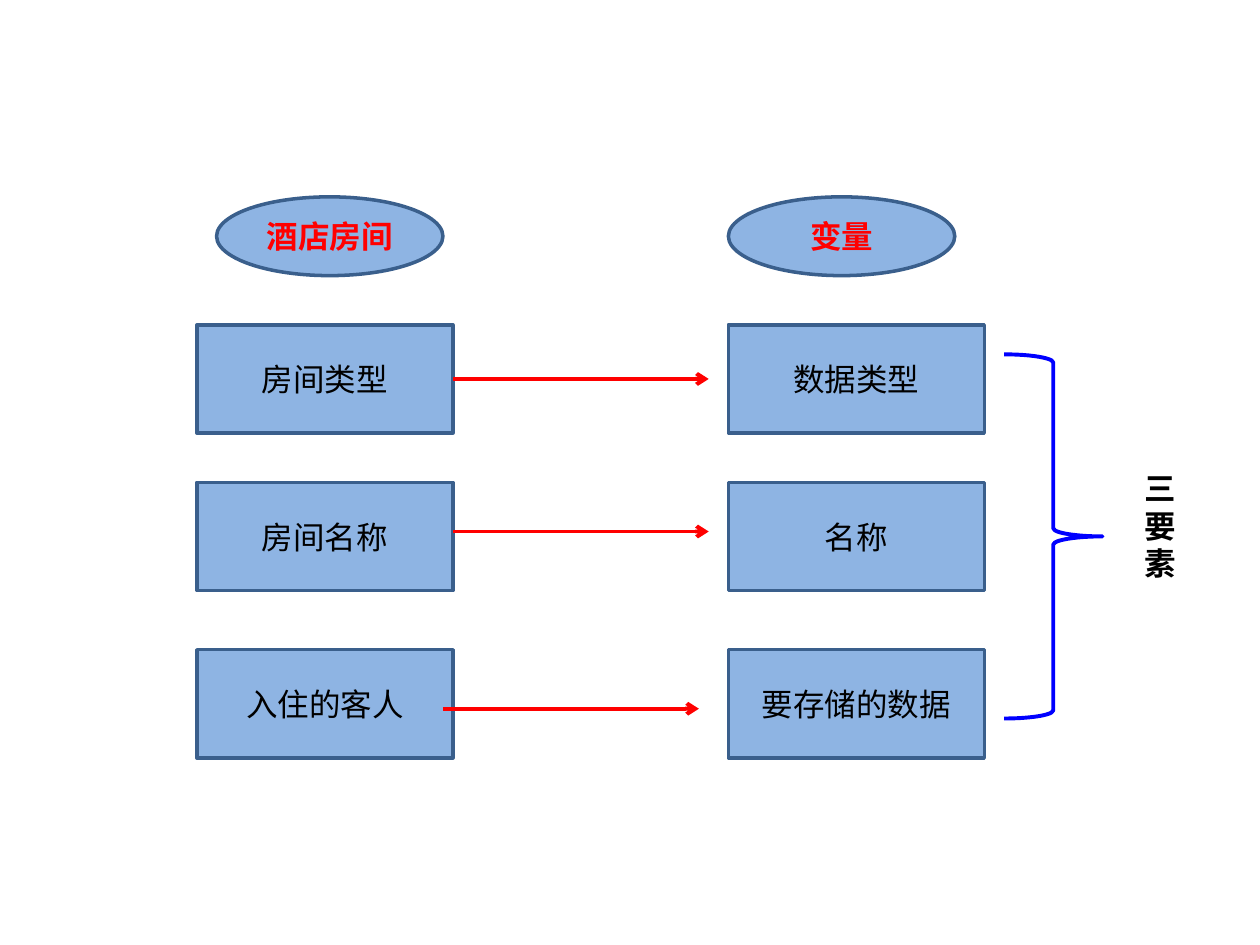
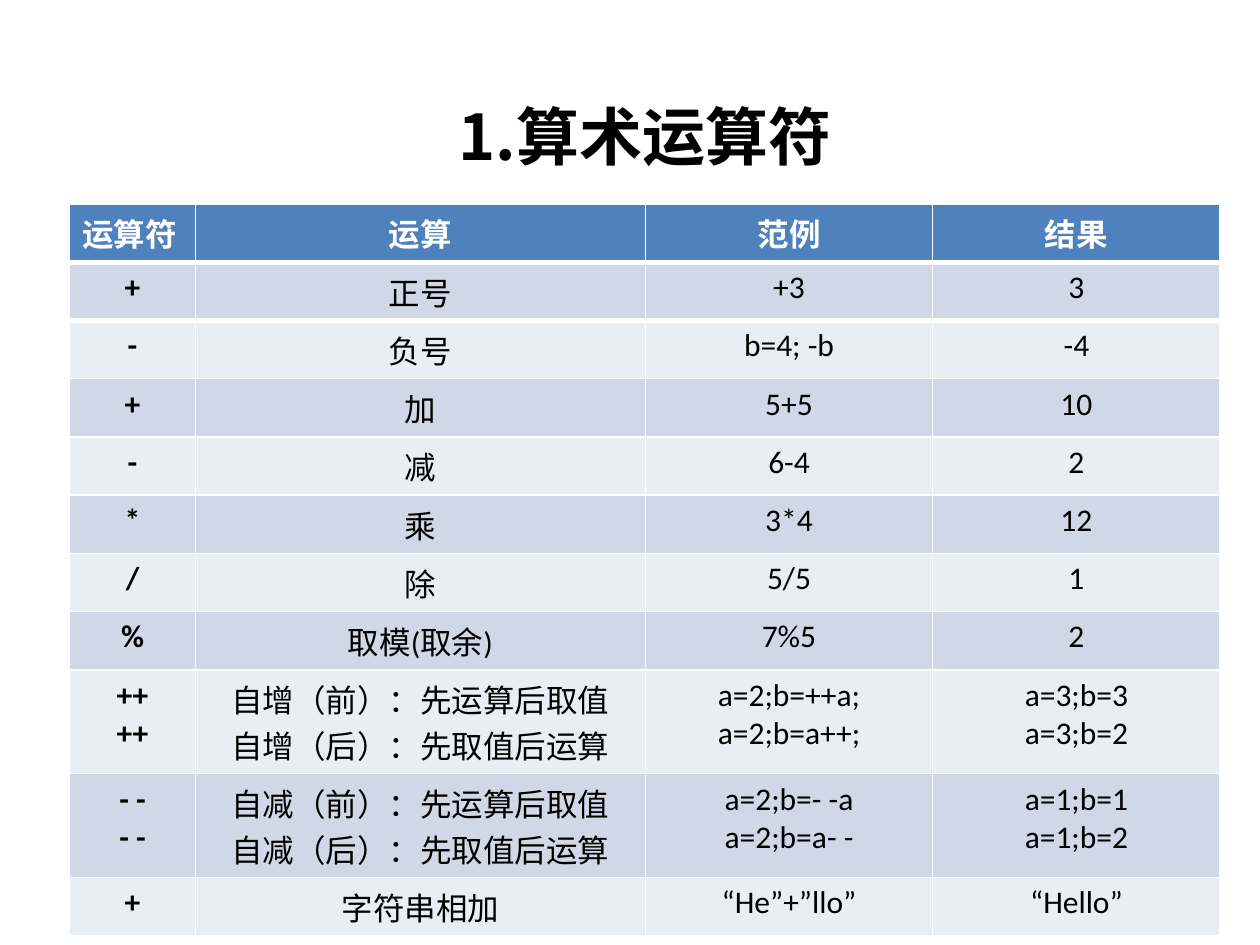
from lxml.etree import SubElement
from pptx import Presentation
from pptx.dml.color import RGBColor
from pptx.enum.shapes import MSO_CONNECTOR, MSO_SHAPE
from pptx.enum.text import MSO_ANCHOR, PP_ALIGN
from pptx.oxml.ns import qn
from pptx.util import Inches, Pt

WIDE, HIGH = Inches(10), Inches(7.5)
UNIT = WIDE / 64  # the slide is a grid of 64 columns by 48 rows
HAN = "Noto Sans CJK SC"
INK = {
    "text": "000000", "accent": "FF0000", "brace": "0000FF",
    "box": "8EB4E3", "edge": "3A5F8C",
    "head": "4F81BD", "light": "FFFFFF", "odd": "D0D8E8", "even": "E9EDF4",
}
PAIRS = [  # hotel room, variable, top row
    ("房间类型", "数据类型", 16.5),
    ("房间名称", "名称", 24.5),
    ("入住的客人", "要存储的数据", 33),
]
OPS = [
    ("运算符", "运算", "范例", "结果"),
    ("+", "正号", "+3", "3"),
    ("-", "负号", "b=4; -b", "-4"),
    ("+", "加", "5+5", "10"),
    ("-", "减", "6-4", "2"),
    ("*", "乘", "3*4", "12"),
    ("/", "除", "5/5", "1"),
    ("%", "取模(取余)", "7%5", "2"),
    ("++\n++", "自增（前）：先运算后取值\n自增（后）：先取值后运算",
     "a=2;b=++a;\na=2;b=a++;", "a=3;b=3\na=3;b=2"),
    ("- -\n- -", "自减（前）：先运算后取值\n自减（后）：先取值后运算",
     "a=2;b=- -a\na=2;b=a- -", "a=1;b=1\na=1;b=2"),
    ("+", "字符串相加", "“He”+”llo”", "“Hello”"),
]


def grid(*cells):
    return [round(cell * UNIT) for cell in cells]


def tint(name):
    return RGBColor.from_string(INK[name])


def write(frame, text, size=18, font="Calibri", ink="text", bold=False,
          align=PP_ALIGN.CENTER):
    frame.word_wrap = True
    for i, line in enumerate(text.split("\n")):
        para = frame.add_paragraph() if i else frame.paragraphs[0]
        para.alignment = align
        run = para.add_run()
        run.text = line
        run.font.size, run.font.name, run.font.bold = Pt(size), font, bold
        run.font.color.rgb = tint(ink)
        SubElement(run.font._element, qn("a:ea")).set("typeface", HAN)


def draw(slide, kind, box, line, width, fill=None):
    shape = slide.shapes.add_shape(kind, *grid(*box))
    shape.shadow.inherit = False
    if fill:
        shape.fill.solid()
        shape.fill.fore_color.rgb = tint(fill)
    else:
        shape.fill.background()
    shape.line.color.rgb = tint(line)
    shape.line.width = Pt(width)
    return shape


def label(slide, kind, box, text, **style):
    shape = draw(slide, kind, box, "edge", 2, "box")
    shape.text_frame.vertical_anchor = MSO_ANCHOR.MIDDLE
    write(shape.text_frame, text, **style)
    return shape


def arrow(slide, x, y, span):
    link = slide.shapes.add_connector(
        MSO_CONNECTOR.STRAIGHT, *grid(x, y, x + span, y))
    link.line.color.rgb = tint("accent")
    link.line.width = Pt(2.25)
    SubElement(link.line._get_or_add_ln(), qn("a:tailEnd")).set("type", "arrow")
    SubElement(link._element.spPr, qn("a:effectLst"))
    return link


def match(slide, x, y):
    """Pair each part of a hotel room with a part of a variable."""
    gap, wide, tall = 27, 13, 5.5
    for left, text in ((x + 1, "酒店房间"), (x + gap, "变量")):
        label(slide, MSO_SHAPE.OVAL, (left, y, 11.5, 4), text,
              ink="accent", bold=True)
    rooms = []
    for room, part, top in PAIRS:
        rooms.append(label(slide, MSO_SHAPE.RECTANGLE, (x, top, wide, tall), room))
        label(slide, MSO_SHAPE.RECTANGLE, (x + gap, top, wide, tall), part)
    end = x + wide
    first = arrow(slide, end, PAIRS[0][2] + tall / 2, 13)
    first.begin_connect(rooms[0], 3)
    arrow(slide, end, 27, 13)
    arrow(slide, end - 0.5, 36, 13)


def summary(slide, x, y):
    """Brace the three parts of a variable and name them."""
    draw(slide, MSO_SHAPE.RIGHT_BRACE, (x, y, 5, 18.5), "brace", 2.25)
    note = slide.shapes.add_textbox(*grid(x + 6.5, y + 5.5, 4, 6.5))
    write(note.text_frame, "三要素", bold=True, align=PP_ALIGN.LEFT)


def heading(slide, text, box):
    title = slide.shapes.title
    title.left, title.top, title.width, title.height = grid(*box)
    title.text_frame.vertical_anchor = MSO_ANCHOR.MIDDLE
    write(title.text_frame, text, size=36, font=HAN, bold=True)


def rule(cell, side):
    """Put a thick light border on one side of a cell."""
    props = cell._tc.get_or_add_tcPr()
    line = SubElement(props, qn(side), w=str(Pt(3)))
    fill = SubElement(line, qn("a:solidFill"))
    SubElement(fill, qn("a:srgbClr"), val=INK["light"])
    props.insert(0, line)


def chart(slide, x, y):
    """Lay out the operators as a banded table."""
    cols = grid(6.4, 22.85, 14.6, 14.6)
    rows = grid(*(4.5 if "\n" in op[0] else 2.8 for op in OPS))
    table = slide.shapes.add_table(
        len(rows), len(cols), *grid(x, y), sum(cols), sum(rows)).table
    for col, wide in zip(table.columns, cols):
        col.width = wide
    for r, (op, tall) in enumerate(zip(OPS, rows)):
        table.rows[r].height = tall
        for c, text in enumerate(op):
            cell = table.cell(r, c)
            cell.fill.solid()
            if r == 0:
                fill = "head"
                style = dict(font="Times New Roman", ink="light", bold=True)
                if c == 0:
                    style["align"] = PP_ALIGN.LEFT
            else:
                fill = "odd" if r % 2 else "even"
                style = dict(bold=c == 0)
            cell.fill.fore_color.rgb = tint(fill)
            if r < 2:
                rule(cell, "a:lnT" if r else "a:lnB")
            write(cell.text_frame, text, **style)


def main():
    deck = Presentation()
    deck.slide_width, deck.slide_height = WIDE, HIGH
    slide = deck.slides.add_slide(deck.slide_layouts[6])
    match(slide, 10, 10)
    summary(slide, 51, 18)
    slide = deck.slides.add_slide(deck.slide_layouts[5])
    heading(slide, "1.算术运算符", (19.4, 3.85, 26.7, 6))
    chart(slide, 3.53, 10.36)
    deck.save("out.pptx")


if __name__ == "__main__":
    main()
